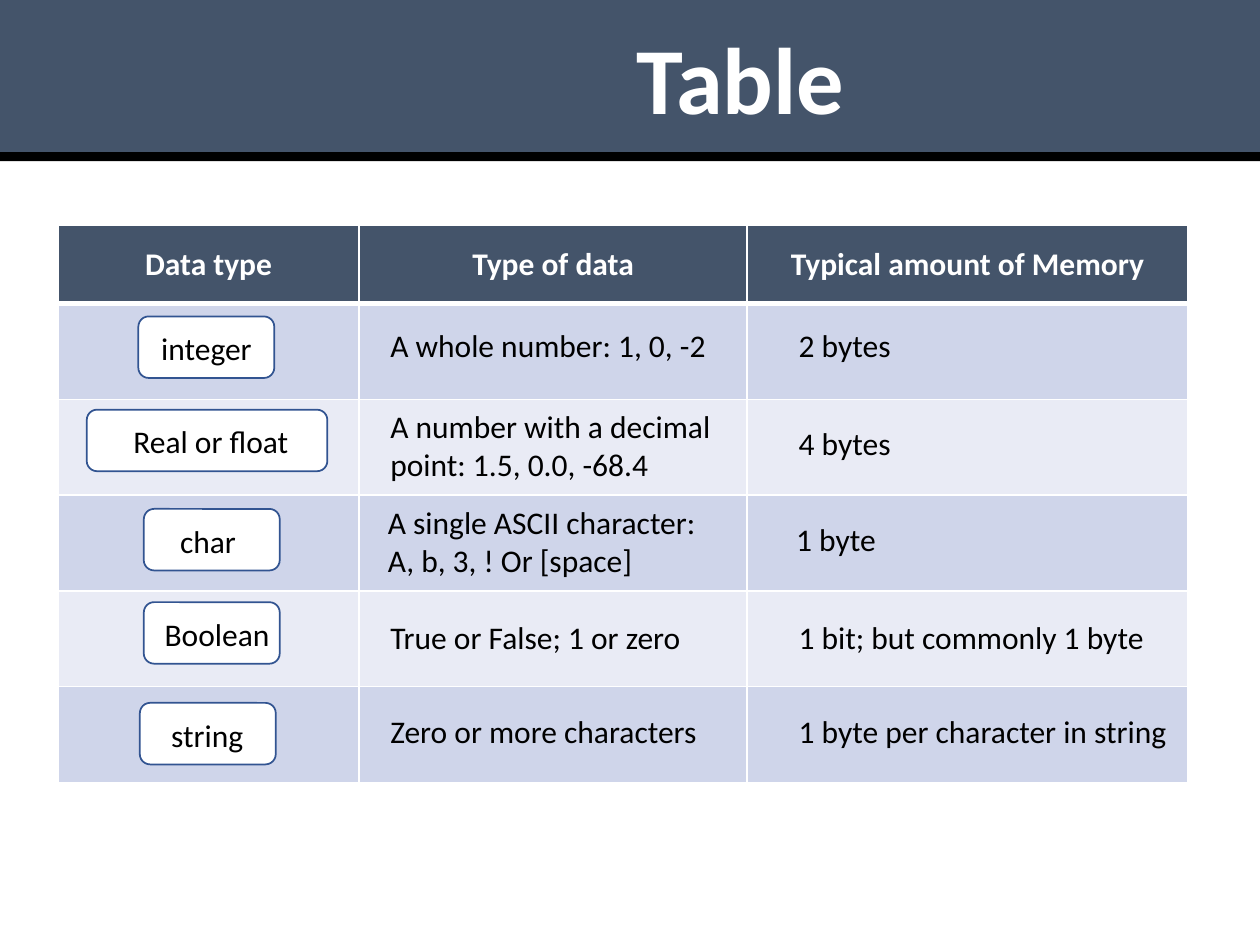
import dataclasses

import lxml.etree
import pptx
import pptx.dml.color
import pptx.enum.shapes
import pptx.enum.text
import pptx.oxml.ns
import pptx.util

Cm, Pt = pptx.util.Cm, pptx.util.Pt
SHAPE = pptx.enum.shapes.MSO_SHAPE
ALIGN = pptx.enum.text.PP_ALIGN
ANCHOR = pptx.enum.text.MSO_ANCHOR

FONT = "Calibri"
SLATE, WHITE, BLACK, BLUE = "44546A", "FFFFFF", "000000", "325491"
BANDS = ("CFD5EA", "E9EBF5")
HEADS = ("Data type", "Type of data", "Typical amount of Memory")
COLS = (6.07, 7.82, 8.89)
HEAD_H, ROW_H, LINE_H = 1.57, 1.93, 1.02


@dataclasses.dataclass
class Box:
    """A piece of text with its place, in centimetres."""
    text: str
    left: float
    top: float
    width: float
    height: float = LINE_H


@dataclasses.dataclass
class Tag:
    """A rounded label; its text sits a little inside the frame."""
    text: str
    left: float
    top: float
    inset: float
    span: float
    width: float = 2.74


TAGS = (
    Tag("integer", 2.79, 6.38, 0.21, 2.36),
    Tag("Real or float", 1.75, 8.26, 0.69, 3.68, 4.85),
    Tag("char", 2.9, 10.26, 0.48, 1.65),
    Tag("Boolean", 2.9, 12.14, 0.17, 2.64),
    Tag("string", 2.82, 14.17, 0.38, 1.98),
)

NOTES = (
    # Type of data
    Box("A whole number: 1, 0, -2", 7.62, 6.45, 7.37),
    Box("A number with a decimal point: 1.5, 0.0, -68.4", 7.62, 8.08, 7.37, 1.8),
    Box("A single ASCII character: A, b, 3, ! Or [space]", 7.57, 10.01, 7.37, 1.8),
    Box("True or False; 1 or zero", 7.62, 12.34, 7.37),
    Box("Zero or more characters", 7.62, 14.22, 7.37),
    # Typical amount of memory
    Box("2 bytes", 15.85, 6.45, 7.37),
    Box("4 bytes", 15.85, 8.43, 7.37),
    Box("1 byte", 15.8, 10.36, 7.37),
    Box("1 bit; but commonly 1 byte", 15.85, 12.34, 8.1),
    Box("1 byte per character in string", 15.85, 14.22, 8.18),
)


def color(code: str) -> pptx.dml.color.RGBColor:
    return pptx.dml.color.RGBColor.from_string(code)


def paint(item, code: str) -> None:
    item.fill.solid()
    item.fill.fore_color.rgb = color(code)


def write(frame, text: str, size: float = 18, code: str = BLACK,
          bold: bool = False, align=ALIGN.LEFT) -> None:
    frame.text = text
    for para in frame.paragraphs:
        para.alignment = align
        for run in para.runs:
            run.font.name = FONT
            run.font.size = Pt(size)
            run.font.bold = bold
            run.font.color.rgb = color(code)


def draw_shape(shapes, kind, left: float, top: float, width: float,
               height: float, fill: str, line: str = "") -> None:
    shape = shapes.add_shape(kind, Cm(left), Cm(top), Cm(width), Cm(height))
    shape.shadow.inherit = False
    paint(shape, fill)
    if line:
        shape.line.color.rgb = color(line)
        shape.line.width = Pt(1)
    else:
        shape.line.fill.background()


def draw_text(shapes, box: Box, wrap: bool = True) -> None:
    area = shapes.add_textbox(Cm(box.left), Cm(box.top), Cm(box.width), Cm(box.height))
    area.text_frame.word_wrap = wrap
    write(area.text_frame, box.text)


def draw_tag(shapes, tag: Tag) -> None:
    group = shapes.add_group_shape().shapes
    draw_shape(group, SHAPE.ROUNDED_RECTANGLE, tag.left, tag.top, tag.width, 1.24,
               WHITE, BLUE)
    draw_text(group, Box(tag.text, tag.left + tag.inset, tag.top + 0.13, tag.span),
              wrap=False)


def edge(cell, side: str, width: float) -> None:
    qn = pptx.oxml.ns.qn
    props = cell._tc.get_or_add_tcPr()
    line = lxml.etree.SubElement(props, qn(f"a:ln{side}"), w=str(Pt(width)))
    fill = lxml.etree.SubElement(line, qn("a:solidFill"))
    lxml.etree.SubElement(fill, qn("a:srgbClr"), val=WHITE)


def draw_table(shapes) -> None:
    count = len(TAGS) + 1
    table = shapes.add_table(count, len(COLS), Cm(1.17), Cm(4.55), Cm(sum(COLS)),
                             Cm(HEAD_H + ROW_H * len(TAGS))).table
    for col, width in zip(table.columns, COLS):
        col.width = Cm(width)
    for i, row in enumerate(table.rows):
        row.height = Cm(ROW_H if i else HEAD_H)
        for j, cell in enumerate(row.cells):
            # The rule under the header is thicker than the others
            for side, thick in (("L", False), ("R", False), ("T", i == 1), ("B", i == 0)):
                edge(cell, side, 3 if thick else 1)
            paint(cell, BANDS[(i - 1) % 2] if i else SLATE)
            if i == 0:
                cell.vertical_anchor = ANCHOR.MIDDLE
                write(cell.text_frame, HEADS[j], 18, WHITE, True, ALIGN.CENTER)


def draw_title(shapes) -> None:
    draw_shape(shapes, SHAPE.RECTANGLE, 0, 2.97, 25.4, 0.28, BLACK)
    draw_shape(shapes, SHAPE.RECTANGLE, 0, -0.08, 25.4, 3.12, SLATE, SLATE)
    title = shapes.title
    title.left, title.top = Cm(5.11), Cm(0.28)
    title.width, title.height = Cm(19.63), Cm(2.57)
    frame = title.text_frame
    frame.vertical_anchor = ANCHOR.TOP
    frame.auto_size = pptx.enum.text.MSO_AUTO_SIZE.NONE
    write(frame, "Table", 54, WHITE, True, ALIGN.CENTER)
    # Bring the title in front of its band
    title.element.getparent().append(title.element)


def main() -> None:
    deck = pptx.Presentation()
    deck.slide_width, deck.slide_height = Cm(25.4), Cm(19.05)
    shapes = deck.slides.add_slide(deck.slide_layouts[5]).shapes
    draw_table(shapes)
    for tag in TAGS:
        draw_tag(shapes, tag)
    for note in NOTES:
        draw_text(shapes, note)
    draw_title(shapes)
    deck.save("out.pptx")


if __name__ == "__main__":
    main()
